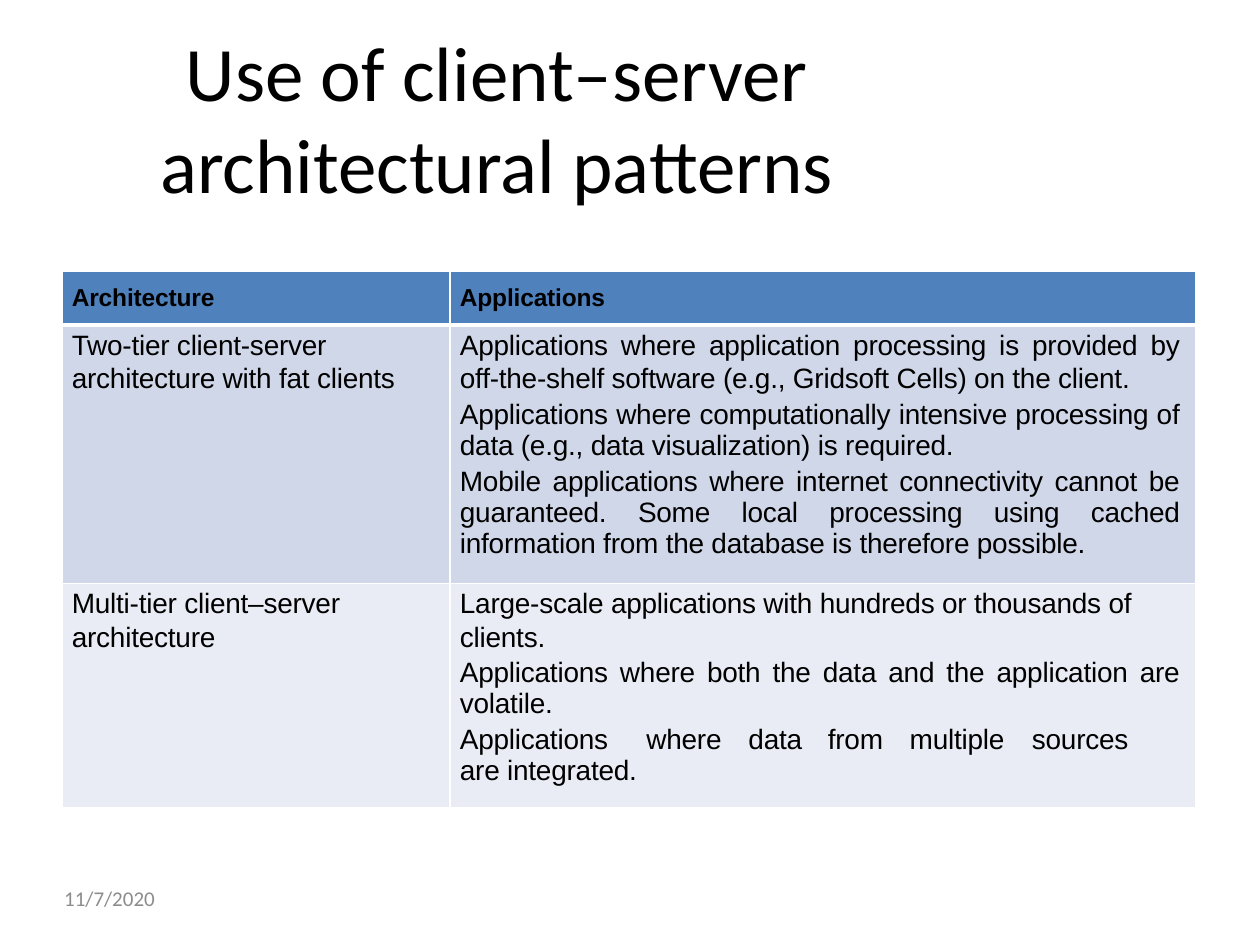
from dataclasses import dataclass

from lxml import etree
from pptx import Presentation
from pptx.dml.color import RGBColor
from pptx.enum.text import MSO_ANCHOR, MSO_AUTO_SIZE, PP_ALIGN
from pptx.oxml.ns import qn
from pptx.util import Inches, Pt

MIDDLE, TOP = MSO_ANCHOR.MIDDLE, MSO_ANCHOR.TOP
LEFT, CENTER, JUSTIFY = PP_ALIGN.LEFT, PP_ALIGN.CENTER, PP_ALIGN.JUSTIFY
NO_AUTOFIT = MSO_AUTO_SIZE.NONE
TITLE_ONLY_LAYOUT = 5


@dataclass(frozen=True)
class Theme:
    heading_font: str = "Calibri"
    table_font: str = "Arial"
    ink: str = "000000"
    date_ink: str = "8C8C8C"
    header_fill: str = "4F81BC"
    row_fills: tuple = ("D0D7E8", "E9ECF4")
    grid: str = "FFFFFF"
    title_size: int = 44
    header_size: int = 14
    body_size: int = 16
    date_size: int = 12


THEME = Theme()

COLUMN_WIDTHS = (3.08, 5.92)
ROW_HEIGHTS = (0.43, 2.05, 1.78)
SPACES_BEFORE = (0, 2.4, 3)
FIRST_LINE_PITCH = 19.2
TABLE_TRACKING = -0.1
WORD_TABS = (1.48, 2.29, 2.92, 3.57, 4.54, 5.52)

HEADERS = ("Architecture", "Applications")
# Each entry: architecture, then (alignment, text) for its applications.
PATTERNS = (
    ("Two-tier client-server architecture with fat clients", (
        (JUSTIFY, "Applications where application processing is provided by "
                  "off-the-shelf software (e.g., Gridsoft Cells) on the client."),
        (JUSTIFY, "Applications where computationally intensive processing "
                  "of data (e.g., data visualization) is required."),
        (JUSTIFY, "Mobile applications where internet connectivity cannot be "
                  "guaranteed. Some local processing using cached "
                  "information from the database is therefore possible."),
    )),
    ("Multi-tier client–server architecture", (
        (LEFT, "Large-scale applications with hundreds or thousands of clients."),
        (JUSTIFY, "Applications where both the data and the application are volatile."),
        (LEFT, "Applications\twhere\tdata\tfrom\tmultiple\tsources\tare integrated."),
    )),
)


def style_runs(paragraph, font_name, size, color, bold=False, tracking=0):
    for run in paragraph.runs:
        run.font.name = font_name
        run.font.size = Pt(size)
        run.font.bold = bold
        run.font.color.rgb = RGBColor.from_string(color)
        if tracking:
            run._r.get_or_add_rPr().set("spc", str(round(tracking * 100)))


def clear_margins(frame):
    frame.margin_left = frame.margin_right = 0
    frame.margin_top = frame.margin_bottom = 0


def add_tab_stops(paragraph, positions):
    properties = paragraph._p.get_or_add_pPr()
    tab_list = etree.SubElement(properties, qn("a:tabLst"))
    for position in positions:
        etree.SubElement(tab_list, qn("a:tab"), pos=str(Inches(position)), algn="l")


def set_borders(cell, top, bottom):
    """Draw grid lines; they must precede the fill in the cell properties."""
    properties = cell._tc.get_or_add_tcPr()
    sides = (("a:lnL", 1), ("a:lnR", 1), ("a:lnT", top), ("a:lnB", bottom))
    for index, (tag, width) in enumerate(sides):
        line = etree.Element(qn(tag), w=str(Pt(width)))
        fill = etree.SubElement(line, qn("a:solidFill"))
        etree.SubElement(fill, qn("a:srgbClr"), val=THEME.grid)
        properties.insert(index, line)


def prepare_cell(cell, fill, anchor, top, bottom):
    clear_margins(cell)
    cell.margin_left = Inches(0.08)
    cell.vertical_anchor = anchor
    cell.fill.solid()
    cell.fill.fore_color.rgb = RGBColor.from_string(fill)
    set_borders(cell, top, bottom)


def fill_body_cell(cell, entries):
    cell.margin_top = Inches(0.02)
    frame = cell.text_frame
    for index, (alignment, text) in enumerate(entries):
        paragraph = frame.add_paragraph() if index else frame.paragraphs[0]
        paragraph.text = text
        paragraph.alignment = alignment
        paragraph.space_before = Pt(SPACES_BEFORE[index])
        if index == 0:
            paragraph.line_spacing = Pt(FIRST_LINE_PITCH)
        if "\t" in text:
            add_tab_stops(paragraph, WORD_TABS)
        style_runs(paragraph, THEME.table_font, THEME.body_size, THEME.ink,
                   tracking=TABLE_TRACKING)


def place_title(slide, left, top, width, height):
    title = slide.shapes.title
    title.left, title.top, title.width, title.height = left, top, width, height
    frame = title.text_frame
    frame.text = "Use of client–server architectural patterns"
    frame.auto_size = NO_AUTOFIT
    frame.word_wrap = True
    frame.vertical_anchor = MIDDLE
    clear_margins(frame)
    paragraph = frame.paragraphs[0]
    paragraph.alignment = CENTER
    style_runs(paragraph, THEME.heading_font, THEME.title_size, THEME.ink)


def place_patterns_table(slide, left, top, width, height):
    table = slide.shapes.add_table(
        len(ROW_HEIGHTS), len(COLUMN_WIDTHS), left, top, width, height).table
    for column, column_width in zip(table.columns, COLUMN_WIDTHS):
        column.width = Inches(column_width)
    for row, row_height in zip(table.rows, ROW_HEIGHTS):
        row.height = Inches(row_height)

    for column, heading in enumerate(HEADERS):
        cell = table.cell(0, column)
        prepare_cell(cell, THEME.header_fill, MIDDLE, top=1, bottom=3)
        cell.text_frame.text = heading
        style_runs(cell.text_frame.paragraphs[0], THEME.table_font,
                   THEME.header_size, THEME.ink, bold=True, tracking=TABLE_TRACKING)

    for row, (architecture, applications) in enumerate(PATTERNS, start=1):
        row_entries = (((LEFT, architecture),), applications)
        for column, entries in enumerate(row_entries):
            cell = table.cell(row, column)
            prepare_cell(cell, THEME.row_fills[row - 1], TOP,
                         top=3 if row == 1 else 1, bottom=1)
            if column == 1:
                cell.margin_right = Inches(0.12)
            fill_body_cell(cell, entries)


def place_date(slide, left, top, width, height):
    frame = slide.shapes.add_textbox(left, top, width, height).text_frame
    frame.text = "11/7/2020"
    frame.word_wrap = True
    frame.vertical_anchor = MIDDLE
    clear_margins(frame)
    style_runs(frame.paragraphs[0], THEME.heading_font, THEME.date_size, THEME.date_ink)


def main():
    presentation = Presentation()
    presentation.slide_width, presentation.slide_height = Inches(10), Inches(7.5)
    slide = presentation.slides.add_slide(presentation.slide_layouts[TITLE_ONLY_LAYOUT])
    place_title(slide, Inches(0.59), Inches(0.2), Inches(6.71), Inches(1.45))
    place_patterns_table(slide, Inches(0.49), Inches(2.15),
                         Inches(sum(COLUMN_WIDTHS)), Inches(sum(ROW_HEIGHTS)))
    place_date(slide, Inches(0.51), Inches(6.93), Inches(2.33), Inches(0.4))
    presentation.save("out.pptx")


if __name__ == "__main__":
    main()
